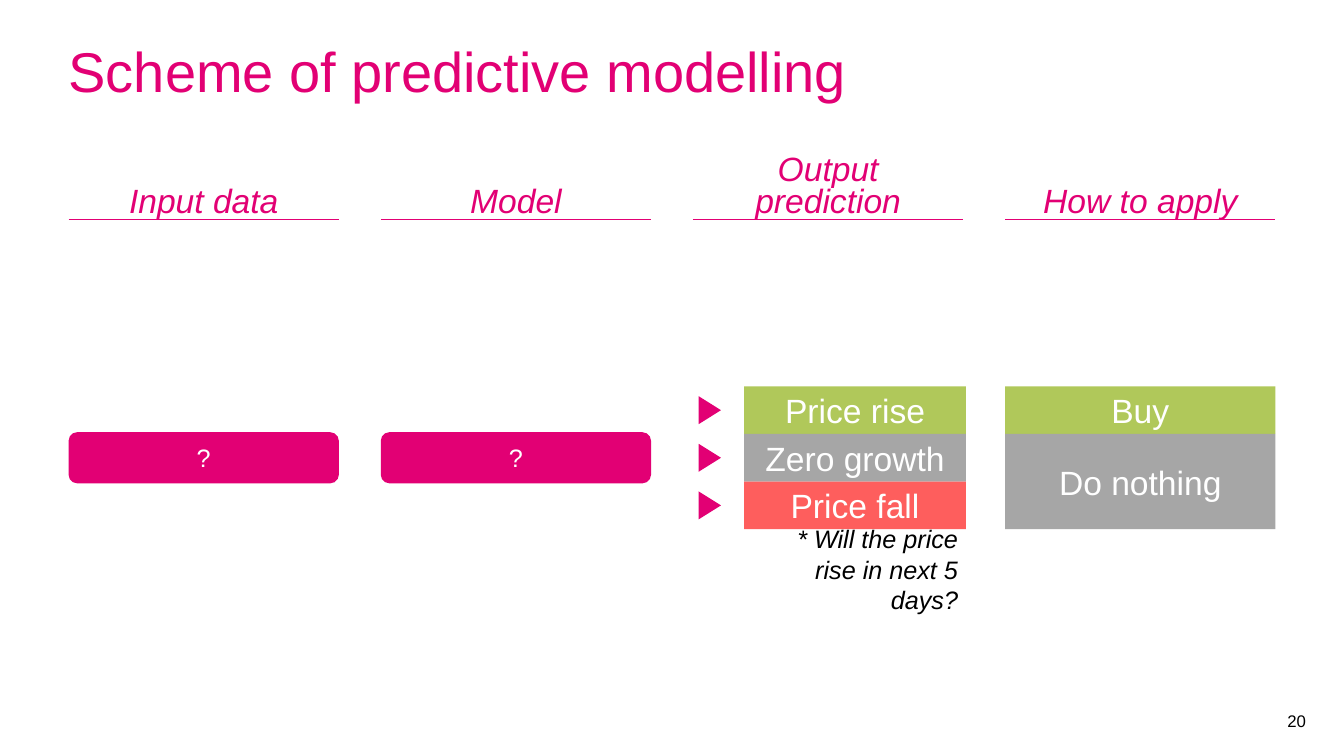
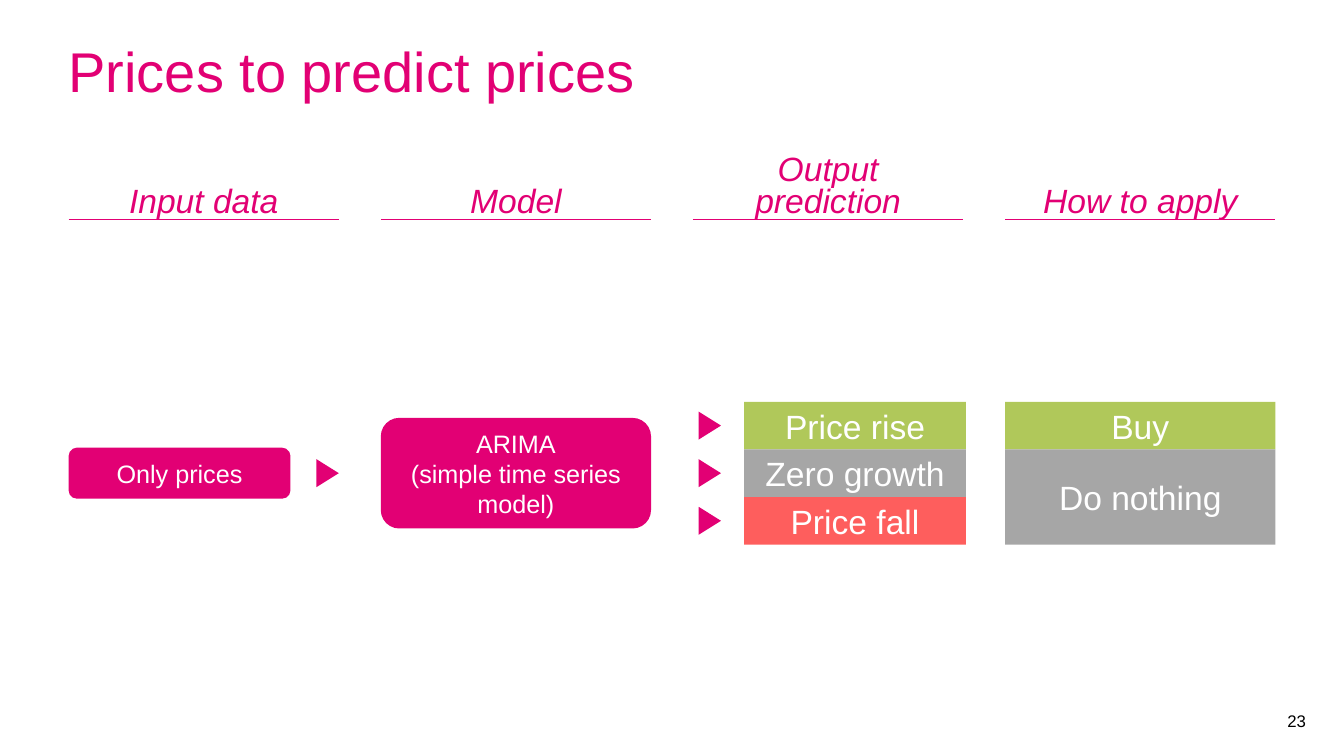
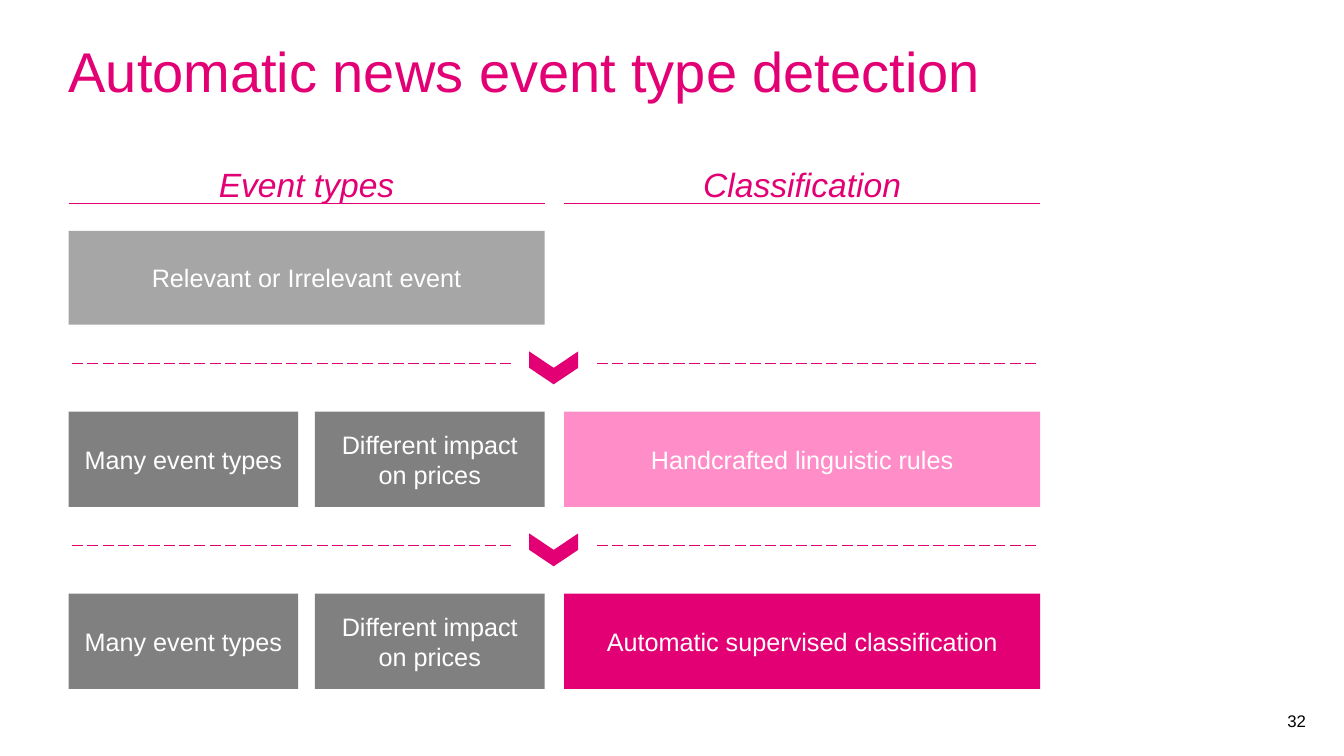
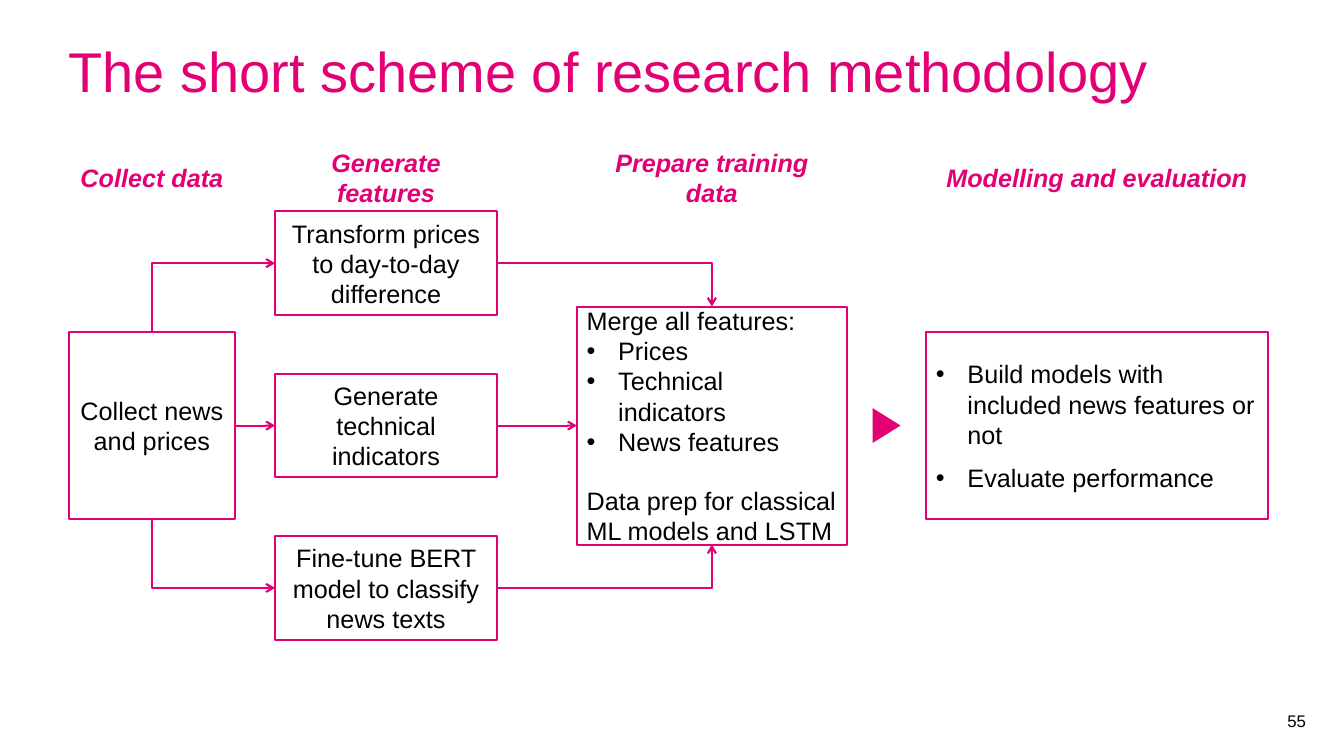
from dataclasses import dataclass

from lxml import etree
from pptx import Presentation
from pptx.dml.color import RGBColor
from pptx.enum.dml import MSO_LINE
from pptx.enum.shapes import MSO_CONNECTOR, MSO_SHAPE
from pptx.enum.text import MSO_ANCHOR, PP_ALIGN
from pptx.oxml.ns import qn
from pptx.util import Pt

RECT, ROUNDED, TRIANGLE = MSO_SHAPE.RECTANGLE, MSO_SHAPE.ROUNDED_RECTANGLE, MSO_SHAPE.ISOSCELES_TRIANGLE
STRAIGHT, ELBOW = MSO_CONNECTOR.STRAIGHT, MSO_CONNECTOR.ELBOW
LEFT, CENTER, RIGHT = PP_ALIGN.LEFT, PP_ALIGN.CENTER, PP_ALIGN.RIGHT
TOP, MIDDLE, BOTTOM = MSO_ANCHOR.TOP, MSO_ANCHOR.MIDDLE, MSO_ANCHOR.BOTTOM
# Connection sites of a rectangle
SITE_TOP, SITE_LEFT, SITE_BOTTOM, SITE_RIGHT = range(4)


@dataclass(frozen=True)
class Theme:
    font: str = "Arial"
    magenta: RGBColor = RGBColor(0xE2, 0x00, 0x74)
    pink: RGBColor = RGBColor(0xFF, 0x8D, 0xC8)
    green: RGBColor = RGBColor(0xB0, 0xC8, 0x5A)
    red: RGBColor = RGBColor(0xFE, 0x5E, 0x5D)
    grey: RGBColor = RGBColor(0xA6, 0xA6, 0xA6)
    dark_grey: RGBColor = RGBColor(0x80, 0x80, 0x80)
    white: RGBColor = RGBColor(0xFF, 0xFF, 0xFF)
    black: RGBColor = RGBColor(0x00, 0x00, 0x00)
    title_size: float = 40
    large_size: float = 24
    body_size: float = 18
    number_size: float = 12
    rule_width: float = 1
    outline_width: float = 1.5


THEME = Theme()


@dataclass(frozen=True)
class Area:
    left: float
    top: float
    width: float
    height: float

    def lengths(self) -> tuple:
        return Pt(self.left), Pt(self.top), Pt(self.width), Pt(self.height)


@dataclass(frozen=True)
class Style:
    size: float
    color: RGBColor
    bold: bool = False
    italic: bool = False
    align: PP_ALIGN = CENTER
    anchor: MSO_ANCHOR = MIDDLE
    spacing: float = 1.0
    inset: tuple = (5.67, 5.67)  # horizontal, vertical


@dataclass(frozen=True)
class Para:
    text: str
    bullet: bool = False
    before: float = 0


@dataclass(frozen=True)
class Column:
    heading: str
    left: float
    width: float


WIDE_INSET = (7.2, 3.6)
TITLE = Style(THEME.title_size, THEME.magenta, align=LEFT, anchor=TOP, spacing=0.9, inset=(0, 0))
NUMBER = Style(THEME.number_size, THEME.black, align=LEFT, inset=(0, 0))
HEADING = Style(THEME.large_size, THEME.magenta, italic=True, anchor=BOTTOM, spacing=0.8)
OUTCOME = Style(THEME.large_size, THEME.white)
PILL = Style(THEME.body_size, THEME.white)
FOOTNOTE = Style(THEME.body_size, THEME.black, italic=True, align=RIGHT)
BLOCK = Style(THEME.body_size, THEME.white, inset=WIDE_INSET)
STEP = Style(THEME.body_size, THEME.black, inset=WIDE_INSET)
STEP_LIST = Style(THEME.body_size, THEME.black, align=LEFT, inset=WIDE_INSET)
STEP_HEADING = Style(THEME.body_size, THEME.magenta, bold=True, italic=True, inset=WIDE_INSET)

MARGIN = 49
SCHEME_COLUMNS = [
    Column(heading, MARGIN + 223 * i, 193)
    for i, heading in enumerate(("Input data", "Model", "Output prediction", "How to apply"))
]
INPUT, MODEL, OUTPUT, APPLY = SCHEME_COLUMNS
OUTCOME_LEFT, OUTCOME_WIDTH, OUTCOME_HEIGHT = 531.5, 158.5, 34
PILL_HEIGHT = 36.5


# Text
def add_bullet(paragraph) -> None:
    properties = paragraph._p.get_or_add_pPr()
    properties.set("marL", str(Pt(22.5)))
    properties.set("indent", str(-Pt(22.5)))
    etree.SubElement(properties, qn("a:buFont"), typeface=THEME.font)
    etree.SubElement(properties, qn("a:buChar"), char="•")


def write(shape, content, style: Style) -> None:
    frame = shape.text_frame
    frame.word_wrap = True
    frame.vertical_anchor = style.anchor
    frame.margin_left = frame.margin_right = Pt(style.inset[0])
    frame.margin_top = frame.margin_bottom = Pt(style.inset[1])
    paras = [Para(content)] if isinstance(content, str) else content
    for i, para in enumerate(paras):
        paragraph = frame.add_paragraph() if i else frame.paragraphs[0]
        paragraph.text = para.text
        paragraph.alignment = style.align
        if para.bullet:
            add_bullet(paragraph)
        if para.before:
            paragraph.space_before = Pt(para.before)
        if style.spacing != 1:
            paragraph.line_spacing = style.spacing
        font = paragraph.font
        font.name, font.size = THEME.font, Pt(style.size)
        font.bold, font.italic = style.bold, style.italic
        font.color.rgb = style.color


def add_text(slide, area: Area, content, style: Style) -> None:
    write(slide.shapes.add_textbox(*area.lengths()), content, style)


# Shapes
def paint(shape, fill: RGBColor, outline=None) -> None:
    shape.shadow.inherit = False
    shape.fill.solid()
    shape.fill.fore_color.rgb = fill
    if outline is None:
        shape.line.fill.background()
    else:
        shape.line.color.rgb = outline
        shape.line.width = Pt(THEME.outline_width)


def add_box(slide, area: Area, fill: RGBColor, content, style: Style, kind=RECT, outline=None):
    box = slide.shapes.add_shape(kind, *area.lengths())
    paint(box, fill, outline)
    write(box, content, style)
    return box


def add_pointer(slide, x: float, y: float, width: float = 20, height: float = 16) -> None:
    """Right-pointing triangle centred on x, y."""
    area = Area(x - width / 2, y - height / 2, width, height)
    pointer = slide.shapes.add_shape(TRIANGLE, *area.lengths())
    pointer.rotation = 90
    paint(pointer, THEME.magenta)


def finish_line(line, width: float) -> None:
    line.line.color.rgb = THEME.magenta
    line.line.width = Pt(width)
    etree.SubElement(line._element.spPr, qn("a:effectLst"))


def add_rule(slide, start: float, end: float, y: float, dashed: bool = False) -> None:
    rule = slide.shapes.add_connector(STRAIGHT, Pt(start), Pt(y), Pt(end), Pt(y))
    finish_line(rule, THEME.rule_width)
    if dashed:
        rule.line.dash_style = MSO_LINE.LONG_DASH


def add_link(slide, begin, begin_site: int, end, end_site: int, arrow: str = "a:tailEnd", kind=ELBOW) -> None:
    link = slide.shapes.add_connector(kind, 0, 0, 0, 0)
    link.begin_connect(begin, begin_site)
    link.end_connect(end, end_site)
    if kind == ELBOW:
        link._element.spPr.find(qn("a:prstGeom")).set("prst", "bentConnector2")
    finish_line(link, THEME.outline_width)
    etree.SubElement(link.line._get_or_add_ln(), qn(arrow), type="arrow")


# Shared slide parts
def add_slide(prs, title: str, number: int):
    slide = prs.slides.add_slide(prs.slide_layouts[6])
    add_text(slide, Area(MARGIN, 31.5, 862, 57), title, TITLE)
    add_text(slide, Area(919.5, 502.5, 20, 25), str(number), NUMBER)
    return slide


def add_headings(slide, columns: list, top: float) -> None:
    for column in columns:
        add_text(slide, Area(column.left, top, column.width, 45.5), column.heading, HEADING)
        add_rule(slide, column.left, column.left + column.width, top + 39.5)


def add_pill(slide, left: float, width: float, height: float, middle: float, content) -> None:
    add_box(slide, Area(left, middle - height / 2, width, height), THEME.magenta, content, PILL, ROUNDED)


def add_scheme(prs, title: str, number: int, middle: float):
    """Four headed columns with the predicted outcomes and the action for each."""
    slide = add_slide(prs, title, number)
    add_headings(slide, SCHEME_COLUMNS, 117.5)
    top = middle - 1.5 * OUTCOME_HEIGHT
    outcomes = (("Price rise", THEME.green), ("Zero growth", THEME.grey), ("Price fall", THEME.red))
    for i, (outcome, color) in enumerate(outcomes):
        row = top + i * OUTCOME_HEIGHT
        add_pointer(slide, 507, row + OUTCOME_HEIGHT / 2)
        add_box(slide, Area(OUTCOME_LEFT, row, OUTCOME_WIDTH, OUTCOME_HEIGHT), color, outcome, OUTCOME)
    add_box(slide, Area(APPLY.left, top, APPLY.width, OUTCOME_HEIGHT), THEME.green, "Buy", OUTCOME)
    add_box(slide, Area(APPLY.left, top + OUTCOME_HEIGHT, APPLY.width, 2 * OUTCOME_HEIGHT),
            THEME.grey, "Do nothing", OUTCOME)
    return slide


# Slides
def build_open_scheme(prs) -> None:
    middle = 327
    slide = add_scheme(prs, "Scheme of predictive modelling", 20, middle)
    for column in (INPUT, MODEL):
        add_pill(slide, column.left, column.width, PILL_HEIGHT, middle, "?")
    add_text(slide, Area(OUTCOME_LEFT, 378, OUTCOME_WIDTH, 57),
             "* Will the price rise in next 5 days?", FOOTNOTE)


def build_price_scheme(prs) -> None:
    middle = 338
    slide = add_scheme(prs, "Prices to predict prices", 23, middle)
    add_pill(slide, INPUT.left, OUTCOME_WIDTH, PILL_HEIGHT, middle, "Only prices")
    add_pointer(slide, 234, middle)
    add_pill(slide, MODEL.left, MODEL.width, 79, middle,
             [Para("ARIMA"), Para("(simple time series model)")])


def add_divider(slide, y: float) -> None:
    """Dashed line broken by a downward chevron."""
    for start, end in ((365, MARGIN), (740, 425.5)):
        add_rule(slide, start, end, y, dashed=True)
    x, half, depth, top = 395.5, 17.5, 11.75, y - 8.5
    outline = [(x, top + depth), (x + half, top), (x + half, top + depth),
               (x, top + 2 * depth), (x - half, top + depth)]
    builder = slide.shapes.build_freeform(Pt(x - half), Pt(top))
    builder.add_line_segments([(Pt(px), Pt(py)) for px, py in outline])
    paint(builder.convert_to_shape(), THEME.magenta)


def build_event_detection(prs) -> None:
    slide = add_slide(prs, "Automatic news event type detection", 32)
    events, classes = Column("Event types", MARGIN, 340), Column("Classification", 403, 340)
    add_headings(slide, [events, classes], 106)
    add_box(slide, Area(events.left, 165, events.width, 67), THEME.grey, "Relevant or Irrelevant event", BLOCK)
    gap, height = 12, 68
    half = (events.width - gap) / 2
    traits = ([Para("Many event types")], [Para("Different impact"), Para("on prices")])
    methods = (("Handcrafted linguistic rules", THEME.pink),
               ("Automatic supervised classification", THEME.magenta))
    for i, (method, color) in enumerate(methods):
        top = 294 + 130 * i
        add_divider(slide, top - 34.5)
        for j, trait in enumerate(traits):
            add_box(slide, Area(events.left + j * (half + gap), top, half, height), THEME.dark_grey, trait, BLOCK)
        add_box(slide, Area(classes.left, top, classes.width, height), color, method, BLOCK)


def build_methodology(prs) -> None:
    slide = add_slide(prs, "The short scheme of research methodology", 55)
    middle = 304
    collect, generate, prepare, evaluate = columns = (
        Column("Collect data", MARGIN, 119),
        Column("Generate features", 196.5, 158.5),
        Column("Prepare training data", 412, 193),
        Column("Modelling and evaluation", 661.5, 244),
    )
    for column in columns:
        add_text(slide, Area(column.left, 116.5, column.width, 20), column.heading, STEP_HEADING)

    def add_step(column: Column, y: float, height: float, content, style: Style = STEP):
        area = Area(column.left, y - height / 2, column.width, height)
        return add_box(slide, area, THEME.white, content, style, outline=THEME.magenta)

    # Steps
    sources = add_step(collect, middle, 133.5, "Collect news and prices")
    prices, indicators, news = [
        add_step(generate, middle + offset, 74, feature)
        for offset, feature in (
            (-116, "Transform prices to day-to-day difference"),
            (0, "Generate technical indicators"),
            (116, "Fine-tune BERT model to classify news texts"),
        )
    ]
    merge = add_step(prepare, middle, 170, [
        Para("Merge all features:"),
        Para("Prices", bullet=True),
        Para("Technical indicators", bullet=True),
        Para("News features", bullet=True),
        Para("Data prep for classical ML models and LSTM", before=20.7),
    ], STEP_LIST)
    add_step(evaluate, middle, 133.5, [
        Para("Build models with included news features or not", bullet=True),
        Para("Evaluate performance", bullet=True, before=9.2),
    ], STEP_LIST)
    add_pointer(slide, 633.25, middle, 25, 20)

    # Flow between the steps
    for feature, site in ((prices, SITE_TOP), (news, SITE_BOTTOM)):
        add_link(slide, feature, SITE_LEFT, sources, site, arrow="a:headEnd")
        add_link(slide, feature, SITE_RIGHT, merge, site)
    for begin, end in ((sources, indicators), (indicators, merge)):
        add_link(slide, begin, SITE_RIGHT, end, SITE_LEFT, kind=STRAIGHT)


def main() -> None:
    prs = Presentation()
    prs.slide_width, prs.slide_height = Pt(960), Pt(540)
    build_open_scheme(prs)
    build_price_scheme(prs)
    build_event_detection(prs)
    build_methodology(prs)
    prs.save("out.pptx")


if __name__ == "__main__":
    main()
